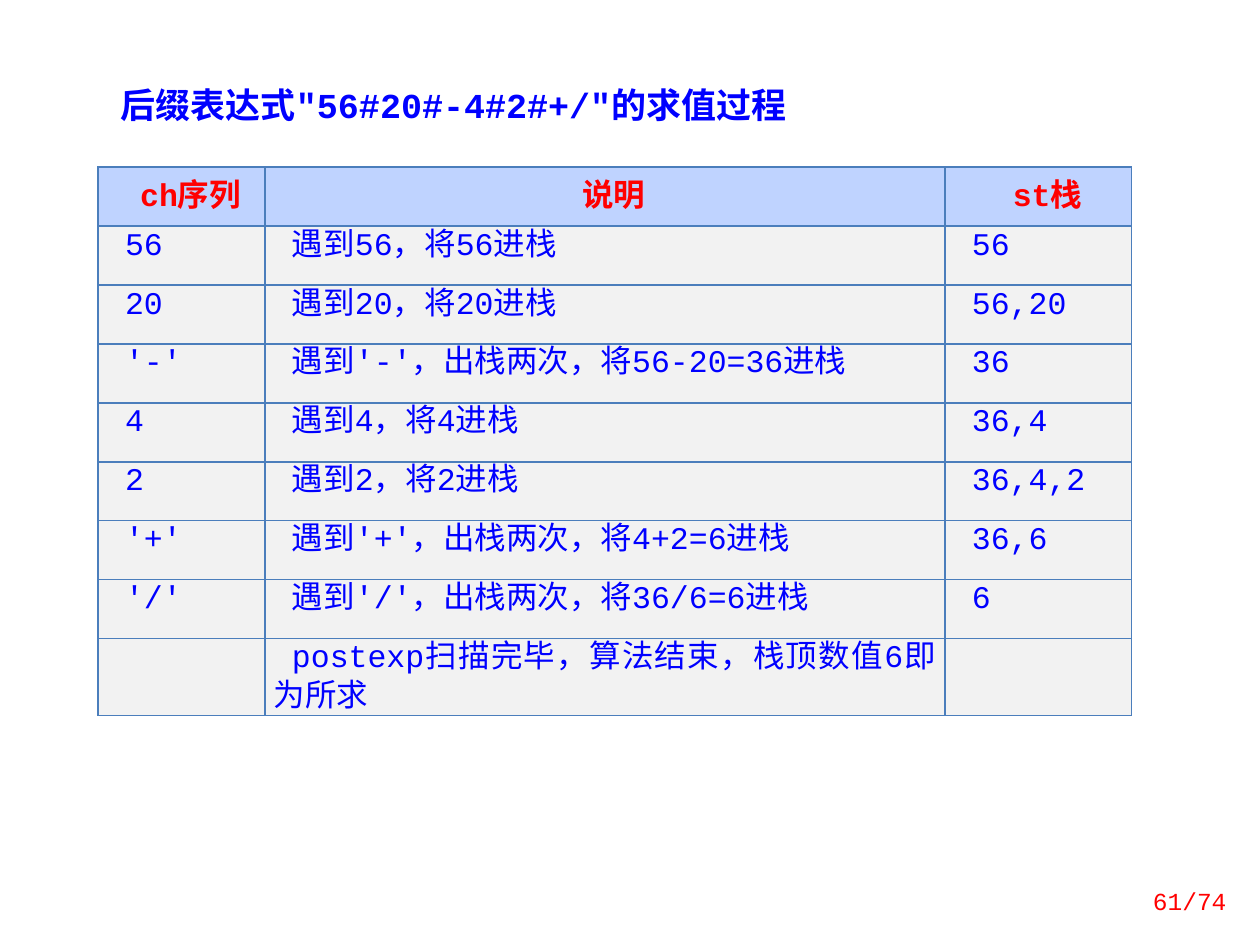
from dataclasses import dataclass

from lxml import etree
from pptx import Presentation
from pptx import util as u
from pptx.dml.color import RGBColor
from pptx.enum import text
from pptx.oxml import ns


@dataclass(frozen=True)
class Theme:
    font: str = "Courier New"
    blue: str = "0000FF"
    red: str = "FF0000"
    head: str = "BFD3FF"
    body: str = "F2F2F2"
    edge: str = "4B7EBC"
    title: int = 20
    cell: int = 18
    page: int = 14


LOOK = Theme()
SCALE = 914400 / 126
HEADS = ("ch序列", "说明", "st栈")
STEPS = (
    ("56", "遇到56，将56进栈", "56"),
    ("20", "遇到20，将20进栈", "56,20"),
    ("'-'", "遇到'-'，出栈两次，将56-20=36进栈", "36"),
    ("4", "遇到4，将4进栈", "36,4"),
    ("2", "遇到2，将2进栈", "36,4,2"),
    ("'+'", "遇到'+'，出栈两次，将4+2=6进栈", "36,6"),
    ("'/'", "遇到'/'，出栈两次，将36/6=6进栈", "6"),
    ("", "postexp扫描完毕，算法结束，栈顶数值6即为所求", ""),
)


def px(size):
    return u.Emu(round(size * SCALE))


def write(para, words, size, color, bold=False):
    run = para.add_run()
    run.text = words
    run.font.name = LOOK.font
    run.font.size = u.Pt(size)
    run.font.bold = bold
    run.font.color.rgb = RGBColor.from_string(color)


def place(shape, box):
    shape.left, shape.top, shape.width, shape.height = map(px, box)


def heading(slide, box):
    shape = slide.shapes.title
    place(shape, box)
    frame = shape.text_frame
    frame.word_wrap = True
    frame.auto_size = text.MSO_AUTO_SIZE.NONE
    frame.vertical_anchor = text.MSO_ANCHOR.TOP
    para = frame.paragraphs[0]
    para.alignment = text.PP_ALIGN.LEFT
    write(para, "后缀表达式\"56#20#-4#2#+/\"的求值过程", LOOK.title, LOOK.blue, True)


def border(cell):
    props = cell._tc.get_or_add_tcPr()
    for side in ("lnL", "lnR", "lnT", "lnB"):
        line = etree.SubElement(props, ns.qn(f"a:{side}"), w=str(u.Pt(0.75)))
        fill = etree.SubElement(line, ns.qn("a:solidFill"))
        etree.SubElement(fill, ns.qn("a:srgbClr"), val=LOOK.edge)


def fill_cell(cell, words, head):
    border(cell)
    cell.fill.solid()
    cell.fill.fore_color.rgb = RGBColor.from_string(LOOK.head if head else LOOK.body)
    cell.margin_left = cell.margin_right = px(9)
    cell.margin_top = cell.margin_bottom = 0
    cell.vertical_anchor = text.MSO_ANCHOR.MIDDLE if head else text.MSO_ANCHOR.TOP
    if not words:
        return
    para = cell.text_frame.paragraphs[0]
    para.alignment = text.PP_ALIGN.CENTER if head else text.PP_ALIGN.JUSTIFY
    para.line_spacing = u.Pt(22)
    props = para._p.get_or_add_pPr()
    props.set("marL", "0")
    props.set("indent", str(px(18)))
    write(para, words, LOOK.cell, LOOK.red if head else LOOK.blue, head)


def steps(slide, box, widths):
    rows = (HEADS, *STEPS)
    grid = slide.shapes.add_table(len(rows), len(HEADS), *map(px, box)).table
    for col, width in zip(grid.columns, widths):
        col.width = px(width)
    for r, row in enumerate(rows):
        grid.rows[r].height = px(box[3] // len(rows))
        for c, words in enumerate(row):
            fill_cell(grid.cell(r, c), words, r == 0)


def page(slide, box):
    frame = slide.shapes.add_textbox(*map(px, box)).text_frame
    frame.word_wrap = True
    frame.vertical_anchor = text.MSO_ANCHOR.MIDDLE
    para = frame.paragraphs[0]
    para.alignment = text.PP_ALIGN.RIGHT
    write(para, "61/74", LOOK.page, LOOK.red)


def main():
    deck = Presentation()
    deck.slide_width, deck.slide_height = px(1260), px(945)
    slide = deck.slides.add_slide(deck.slide_layouts[5])
    heading(slide, (108, 77, 798, 55))
    steps(slide, (98, 167, 1034, 531), (167, 680, 187))
    page(slide, (1116, 876, 123, 50))
    deck.save("out.pptx")


if __name__ == "__main__":
    main()
